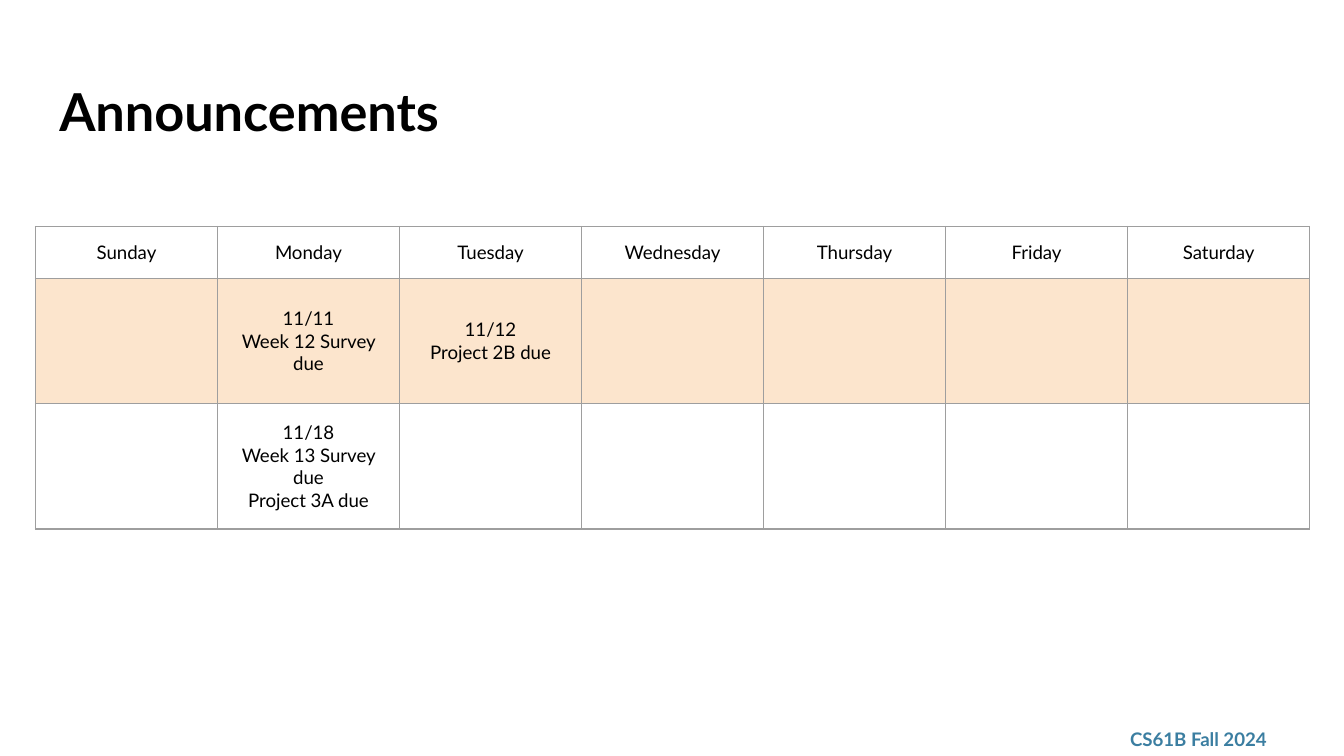
"""Build a course announcements slide with a weekly calendar table."""
import dataclasses

import pptx
import pptx.dml.color
import pptx.enum.text
import pptx.oxml
import pptx.oxml.ns
import pptx.table
import pptx.text.text
import pptx.util
from pptx.util import Cm

COLORS = {"text": "000000", "footer": "3B7EA1", "border": "9E9E9E", "current": "FCE5CD"}
FONT = "Lato"
DAYS = ["Sunday", "Monday", "Tuesday", "Wednesday", "Thursday", "Friday", "Saturday"]
COL_WIDTH = 3.44


@dataclasses.dataclass
class Week:
    height: float
    entries: dict[int, list[str]]
    fill: str | None = None


WEEKS = [
    Week(0.98, {i: [day] for i, day in enumerate(DAYS)}),
    Week(2.37, {1: ["11/11", "Week 12 Survey due"], 2: ["11/12", "Project 2B due"]}, "current"),
    Week(2.37, {1: ["11/18", "Week 13 Survey due", "Project 3A due"]}),
]


def write(tf: pptx.text.text.TextFrame, lines: list[str], size: float, color: str,
          bold: bool, align: pptx.enum.text.PP_ALIGN) -> None:
    """Fill a text frame with one formatted paragraph per line."""
    tf.text = "\n".join(lines)
    for p in tf.paragraphs:
        p.alignment = align
        p.font.name = FONT
        p.font.size = pptx.util.Pt(size)
        p.font.bold = bold
        p.font.color.rgb = pptx.dml.color.RGBColor.from_string(COLORS[color])


def set_insets(tf: pptx.text.text.TextFrame, inset: float) -> None:
    """Give all four sides of a text frame or cell the same margin."""
    tf.margin_left = tf.margin_right = tf.margin_top = tf.margin_bottom = Cm(inset)


def add_borders(cell: pptx.table._Cell) -> None:
    """Draw a thin solid line on each side of a cell."""
    tc_pr = cell._tc.get_or_add_tcPr()
    for side in ("lnL", "lnR", "lnT", "lnB"):
        tc_pr.append(pptx.oxml.parse_xml(
            f'<a:{side} {pptx.oxml.ns.nsdecls("a")} w="{pptx.util.Pt(0.75)}"><a:solidFill>'
            f'<a:srgbClr val="{COLORS["border"]}"/></a:solidFill></a:{side}>'))


def fill_cell(cell: pptx.table._Cell, lines: list[str], fill: str | None) -> None:
    """Set the text, borders and background of a calendar cell."""
    write(cell.text_frame, lines, 10, "text", False, pptx.enum.text.PP_ALIGN.CENTER)
    set_insets(cell, 0.13)
    cell.vertical_anchor = pptx.enum.text.MSO_ANCHOR.MIDDLE
    add_borders(cell)
    if fill:
        cell.fill.solid()
        cell.fill.fore_color.rgb = pptx.dml.color.RGBColor.from_string(COLORS[fill])
    else:
        cell.fill.background()


def main() -> None:
    """Create the slide and save it."""
    prs = pptx.Presentation()
    prs.slide_width, prs.slide_height = Cm(25.4), Cm(14.29)
    s = prs.slides.add_slide(prs.slide_layouts[5])

    title = s.shapes.title
    title.left, title.top, title.width, title.height = Cm(0.87), Cm(1.24), Cm(23.67), Cm(1.6)
    tf = title.text_frame
    write(tf, ["Announcements"], 28, "text", True, pptx.enum.text.PP_ALIGN.LEFT)
    set_insets(tf, 0.25)
    tf.auto_size = pptx.enum.text.MSO_AUTO_SIZE.NONE
    tf.vertical_anchor = pptx.enum.text.MSO_ANCHOR.TOP

    footer = s.shapes.add_textbox(Cm(21.11), Cm(13.64), Cm(3.43), Cm(0.66))
    tf = footer.text_frame
    tf.word_wrap = True
    write(tf, ["CS61B Fall 2024"], 10, "footer", True, pptx.enum.text.PP_ALIGN.LEFT)
    set_insets(tf, 0.25)
    tf.vertical_anchor = pptx.enum.text.MSO_ANCHOR.MIDDLE

    height = sum(week.height for week in WEEKS)
    table = s.shapes.add_table(len(WEEKS), len(DAYS), Cm(0.67), Cm(4.28),
                               Cm(COL_WIDTH * len(DAYS)), Cm(height)).table
    table.first_row = table.horz_banding = False
    for column in table.columns:
        column.width = Cm(COL_WIDTH)
    for row, week in zip(table.rows, WEEKS):
        row.height = Cm(week.height)
        for i, cell in enumerate(row.cells):
            fill_cell(cell, week.entries.get(i, []), week.fill)

    prs.save("out.pptx")


if __name__ == "__main__":
    main()
